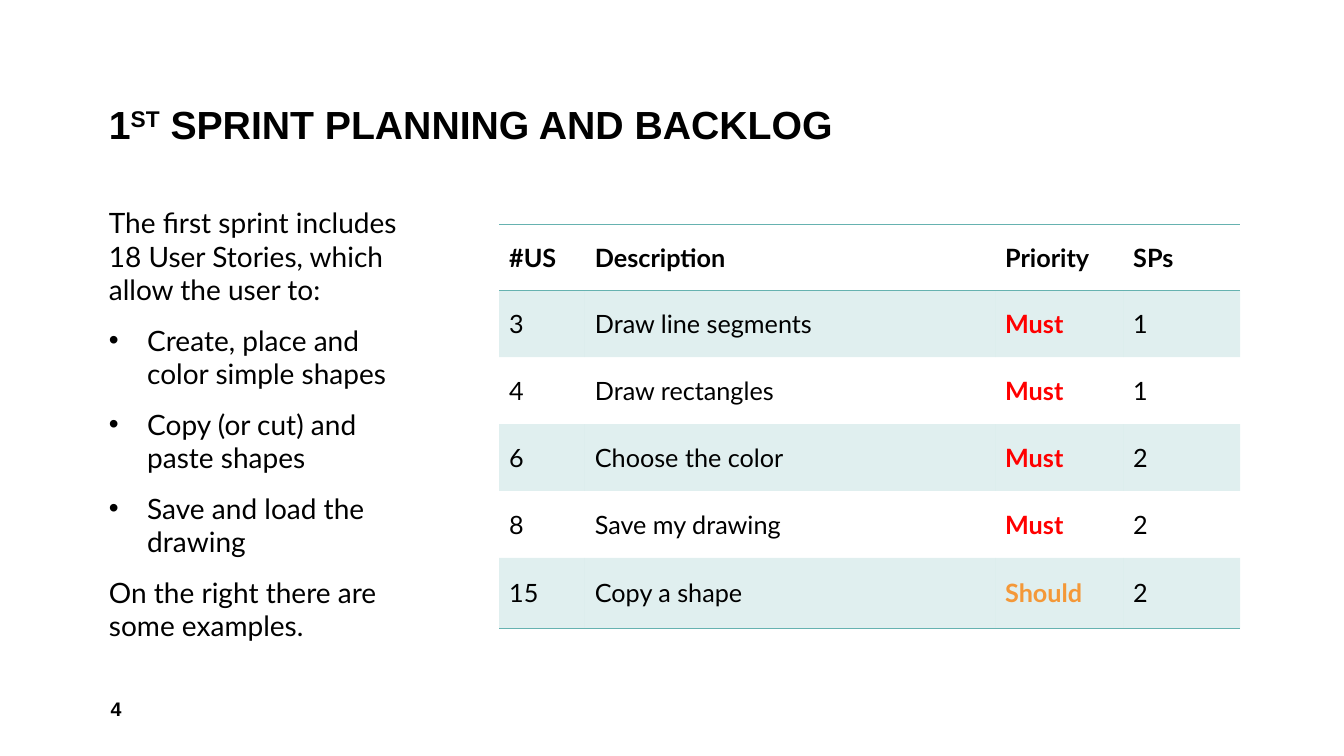
from dataclasses import dataclass
from typing import NamedTuple

from lxml import etree
from pptx import Presentation
from pptx import util as u
from pptx.dml.color import RGBColor
from pptx.enum import text
from pptx.oxml import ns

TEAL, BLACK, RED, ORANGE = "66B2B0", "000000", "FF0000", "F49838"
PRIORITY_COLORS = {"Must": RED, "Should": ORANGE}
HEADINGS = ("#US", "Description", "Priority", "SPs")
COLUMN_SHARES = (6.38, 30.53, 9.53, 8.7)
ROW_SHARES = (8.67, 8.85, 8.85, 8.85, 8.85, 9.33)
NO_STYLE = "{2D5ABB26-0587-4C30-8999-92F81FD0307C}"

deck = Presentation()
deck.slide_width, deck.slide_height = u.Inches(13.33), u.Inches(7.5)


def across(percent: float) -> int:
    return round(deck.slide_width * percent / 100)


def down(percent: float) -> int:
    return round(deck.slide_height * percent / 100)


class Area(NamedTuple):
    left: float
    top: float
    width: float
    height: float

    def lengths(self) -> tuple[int, int, int, int]:
        return across(self.left), down(self.top), across(self.width), down(self.height)


@dataclass
class Point:
    wording: str
    bulleted: bool = False


@dataclass
class Story:
    number: int
    description: str
    priority: str
    points: int

    def texts(self) -> tuple[str, ...]:
        return str(self.number), self.description, self.priority, str(self.points)


POINTS = (
    Point("The first sprint includes 18 User Stories, which allow the user to:"),
    Point("Create, place and color simple shapes", True),
    Point("Copy (or cut) and paste shapes", True),
    Point("Save and load the drawing", True),
    Point("On the right there are some examples."),
)
STORIES = (
    Story(3, "Draw line segments", "Must", 1),
    Story(4, "Draw rectangles", "Must", 1),
    Story(6, "Choose the color", "Must", 2),
    Story(8, "Save my drawing", "Must", 2),
    Story(15, "Copy a shape", "Should", 2),
)


def color(value: str) -> RGBColor:
    return RGBColor.from_string(value)


def set_font(paragraph, name: str, size: float, bold: bool = False, ink: str = BLACK) -> None:
    font = paragraph.font
    font.name, font.size, font.bold = name, u.Pt(size), bold
    font.color.rgb = color(ink)


def place(shape, area: Area) -> None:
    shape.left, shape.top, shape.width, shape.height = area.lengths()


def write_title(title) -> None:
    place(title, Area(7.35, 2, 84.92, 18.27))
    frame = title.text_frame
    frame.auto_size = text.MSO_AUTO_SIZE.NONE
    frame.vertical_anchor = text.MSO_ANCHOR.BOTTOM
    heading = frame.paragraphs[0]
    heading.alignment, heading.line_spacing = text.PP_ALIGN.LEFT, 0.9
    for wording in ("1", "ST", " SPRINT PLANNING AND BACKLOG"):
        run = heading.add_run()
        run.text = wording
        if wording == "ST":
            run._r.get_or_add_rPr().set("baseline", "30000")
    set_font(heading, "Arial", 28, True)


def write_points(body, points: tuple[Point, ...]) -> None:
    place(body, Area(7.35, 26.53, 24.76, 59.73))
    frame = body.text_frame
    frame.auto_size = text.MSO_AUTO_SIZE.NONE
    for index, point in enumerate(points):
        paragraph = frame.add_paragraph() if index else frame.paragraphs[0]
        paragraph.text = point.wording
        paragraph.space_before, paragraph.space_after = u.Pt(0), u.Pt(12)
        indent = u.Inches(0.38) if point.bulleted else 0
        properties = paragraph._p.get_or_add_pPr()
        properties.set("marL", str(indent))
        properties.set("indent", str(-indent))
        if point.bulleted:
            etree.SubElement(properties, ns.qn("a:buFont"), typeface="Arial")
            etree.SubElement(properties, ns.qn("a:buChar"), char="•")
        else:
            etree.SubElement(properties, ns.qn("a:buNone"))
        set_font(paragraph, "Lato", 20)


def add_rule(cell, edge: str) -> None:
    rule = etree.Element(ns.qn(f"a:{edge}"), w=str(u.Pt(1)))
    fill = etree.SubElement(rule, ns.qn("a:solidFill"))
    etree.SubElement(fill, ns.qn("a:srgbClr"), val=TEAL)
    cell._tc.get_or_add_tcPr().insert(0, rule)


def shade(cell) -> None:
    cell.fill.solid()
    cell.fill.fore_color.rgb = color(TEAL)
    tint = cell._tc.tcPr.find(".//" + ns.qn("a:srgbClr"))
    etree.SubElement(tint, ns.qn("a:alpha"), val="20000")


def add_backlog(slide, stories: tuple[Story, ...]) -> None:
    rows = (HEADINGS, *(story.texts() for story in stories))
    area = Area(37.13, 29.73, sum(COLUMN_SHARES), sum(ROW_SHARES))
    backlog = slide.shapes.add_table(len(rows), len(HEADINGS), *area.lengths()).table
    backlog.first_row = backlog.horz_banding = False
    backlog._tbl.tblPr.find(ns.qn("a:tableStyleId")).text = NO_STYLE
    for column, share in zip(backlog.columns, COLUMN_SHARES):
        column.width = across(share)
    for row, share in zip(backlog.rows, ROW_SHARES):
        row.height = down(share)
    for r, wordings in enumerate(rows):
        for c, wording in enumerate(wordings):
            cell = backlog.cell(r, c)
            cell.text = wording
            cell.vertical_anchor = text.MSO_ANCHOR.MIDDLE
            ink = PRIORITY_COLORS.get(wording, BLACK)
            set_font(cell.text_frame.paragraphs[0], "Lato", 18, r == 0 or ink != BLACK, ink)
            if r % 2:
                shade(cell)
            else:
                cell.fill.background()
            if r in (0, len(rows) - 1):
                add_rule(cell, "lnB")
            if r == 0:
                add_rule(cell, "lnT")


def add_page_number(slide, number: int) -> None:
    frame = slide.shapes.add_textbox(*Area(7.5, 91.07, 9.75, 5.33).lengths()).text_frame
    frame.word_wrap = True
    frame.vertical_anchor = text.MSO_ANCHOR.MIDDLE
    frame.text = str(number)
    set_font(frame.paragraphs[0], "Arial", 14, True)


def main() -> None:
    slide = deck.slides.add_slide(deck.slide_layouts[1])
    write_title(slide.shapes.title)
    write_points(slide.placeholders[1], POINTS)
    add_backlog(slide, STORIES)
    add_page_number(slide, 4)
    deck.save("out.pptx")


if __name__ == "__main__":
    main()
